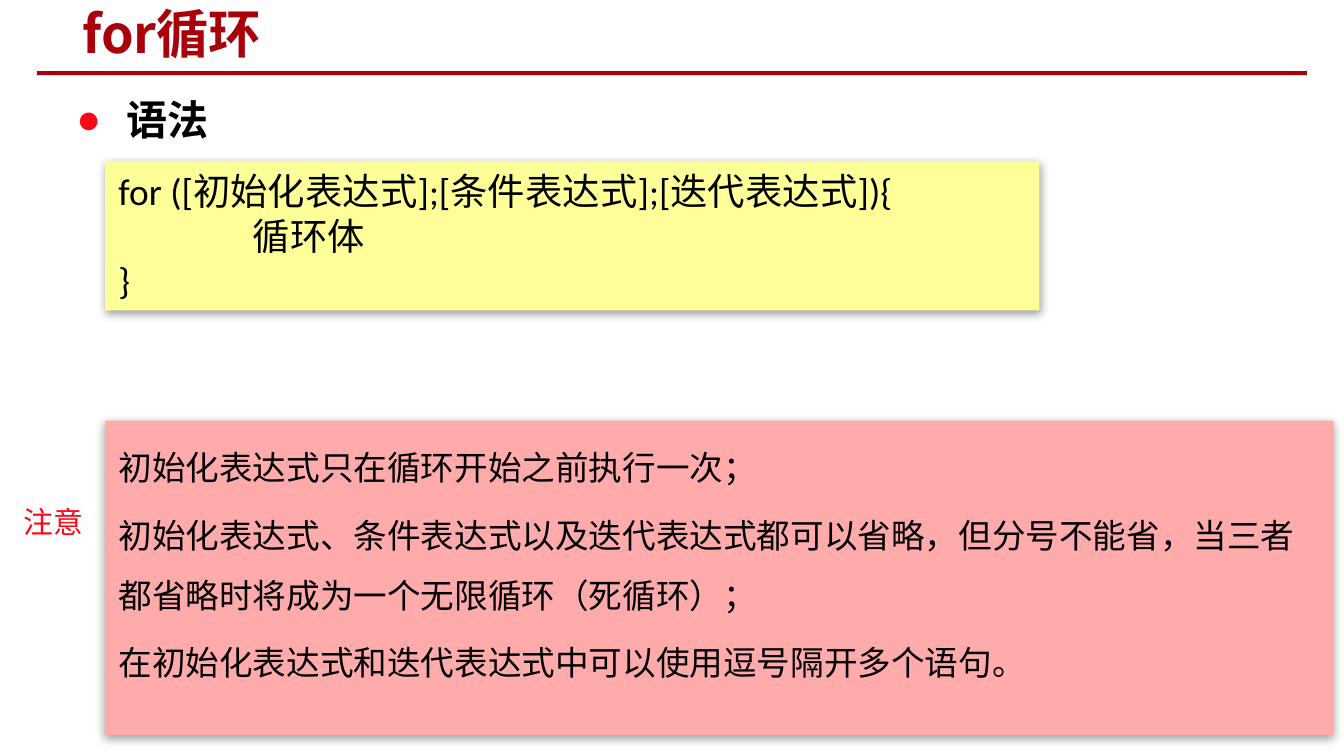
from dataclasses import dataclass
from lxml.etree import SubElement
from pptx import Presentation
from pptx.dml.color import RGBColor as RGB
from pptx.enum.shapes import MSO_SHAPE as Shape
from pptx.enum.text import MSO_ANCHOR as Anchor, MSO_AUTO_SIZE as AutoSize, PP_ALIGN as Align
from pptx.oxml.ns import qn
from pptx.util import Inches, Pt

WIDTH = Inches(10)
HEIGHT = WIDTH * 9 // 16


@dataclass(frozen=True)
class Style:
    font: str
    size: int
    color: str
    bold: bool = False


class Theme:
    crimson, red, black = "AA000B", "FF0517", "000000"
    yellow, pink = "FFFF99", "FFAAAB"
    cjk = "Noto Sans CJK SC"
    title = Style(cjk, 28, crimson, True)
    heading = Style("Arial", 22, black, True)
    code = Style("Calibri", 20, black)
    notes = Style(cjk, 18, black)
    label = Style(cjk, 16, red)


SYNTAX = ["for ([初始化表达式];[条件表达式];[迭代表达式]){", "\t循环体", "}"]
NOTES = [
    "初始化表达式只在循环开始之前执行一次；",
    "初始化表达式、条件表达式以及迭代表达式都可以省略，但分号不能省，"
    "当三者都省略时将成为一个无限循环（死循环）；",
    "在初始化表达式和迭代表达式中可以使用逗号隔开多个语句。",
]


def place(left, top, width, height):
    shares = zip((left, top, width, height), (WIDTH, HEIGHT) * 2)
    return [round(share * side / 100) for share, side in shares]


def write(frame, lines, style, spacing=None, gap=0, anchor=Anchor.TOP):
    frame.word_wrap = True
    frame.vertical_anchor = anchor
    for index, line in enumerate(lines):
        paragraph = frame.add_paragraph() if index else frame.paragraphs[0]
        paragraph.alignment = Align.LEFT
        if spacing:
            paragraph.line_spacing = spacing
        if index and gap:
            paragraph.space_before = Pt(gap)
        if line.startswith("\t"):
            add_tab(paragraph, Inches(1))
        run = paragraph.add_run()
        run.text = line
        font = run.font
        font.name, font.size, font.bold = style.font, Pt(style.size), style.bold
        font.color.rgb = RGB.from_string(style.color)
        SubElement(font._element, qn("a:ea"), typeface=style.font)


def add_tab(paragraph, position):
    stops = SubElement(paragraph._p.get_or_add_pPr(), qn("a:tabLst"))
    SubElement(stops, qn("a:tab"), pos=str(position), algn="l")


def add_bullet(paragraph, color, indent):
    props = paragraph._p.get_or_add_pPr()
    props.set("marL", str(indent))
    props.set("indent", str(-indent))
    SubElement(SubElement(props, qn("a:buClr")), qn("a:srgbClr"), val=color)
    SubElement(props, qn("a:buFont"), typeface="Arial")
    SubElement(props, qn("a:buChar"), char="●")


def add_text(slide, area, lines, style, **layout):
    frame = slide.shapes.add_textbox(*place(*area)).text_frame
    write(frame, lines, style, **layout)
    return frame


def add_block(slide, area, color):
    block = slide.shapes.add_shape(Shape.RECTANGLE, *place(*area))
    block.shadow.inherit = False
    block.fill.solid()
    block.fill.fore_color.rgb = RGB.from_string(color)
    block.line.fill.background()
    return block


def add_panel(slide, area, color, lines, style, **layout):
    panel = add_block(slide, area, color)
    effects = panel._element.spPr.find(qn("a:effectLst"))
    shadow = SubElement(effects, qn("a:outerShdw"), blurRad=str(Pt(5)), dist=str(Pt(1.6)),
                        dir="5400000", algn="t", rotWithShape="0")
    tint = SubElement(shadow, qn("a:srgbClr"), val=Theme.black)
    SubElement(tint, qn("a:alpha"), val="38000")
    write(panel.text_frame, lines, style, **layout)
    return panel.text_frame


def main():
    deck = Presentation()
    deck.slide_width, deck.slide_height = WIDTH, HEIGHT
    slide = deck.slides.add_slide(deck.slide_layouts[6])

    add_block(slide, (2.74, 9.42, 94.5, 0.53), Theme.crimson)
    heading = add_text(slide, (4.7, 8.36, 92.2, 84.8), ["语法"], Theme.heading, spacing=1.5)
    add_bullet(heading.paragraphs[0], Theme.red, Pt(27))
    add_text(slide, (5.14, 0.36, 53, 8), ["for循环"], Theme.title, anchor=Anchor.MIDDLE)
    add_panel(slide, (7.83, 55.64, 91.4, 41.6), Theme.pink, NOTES, Theme.notes,
              spacing=1.5, gap=3.6)
    syntax = add_panel(slide, (7.83, 21.33, 69.5, 19.73), Theme.yellow, SYNTAX, Theme.code)
    syntax.auto_size = AutoSize.SHAPE_TO_FIT_TEXT
    label = add_text(slide, (0.8, 65.78, 6.5, 6.58), ["注意"], Theme.label)
    label.word_wrap = False
    label.auto_size = AutoSize.SHAPE_TO_FIT_TEXT

    deck.save("out.pptx")


if __name__ == "__main__":
    main()
